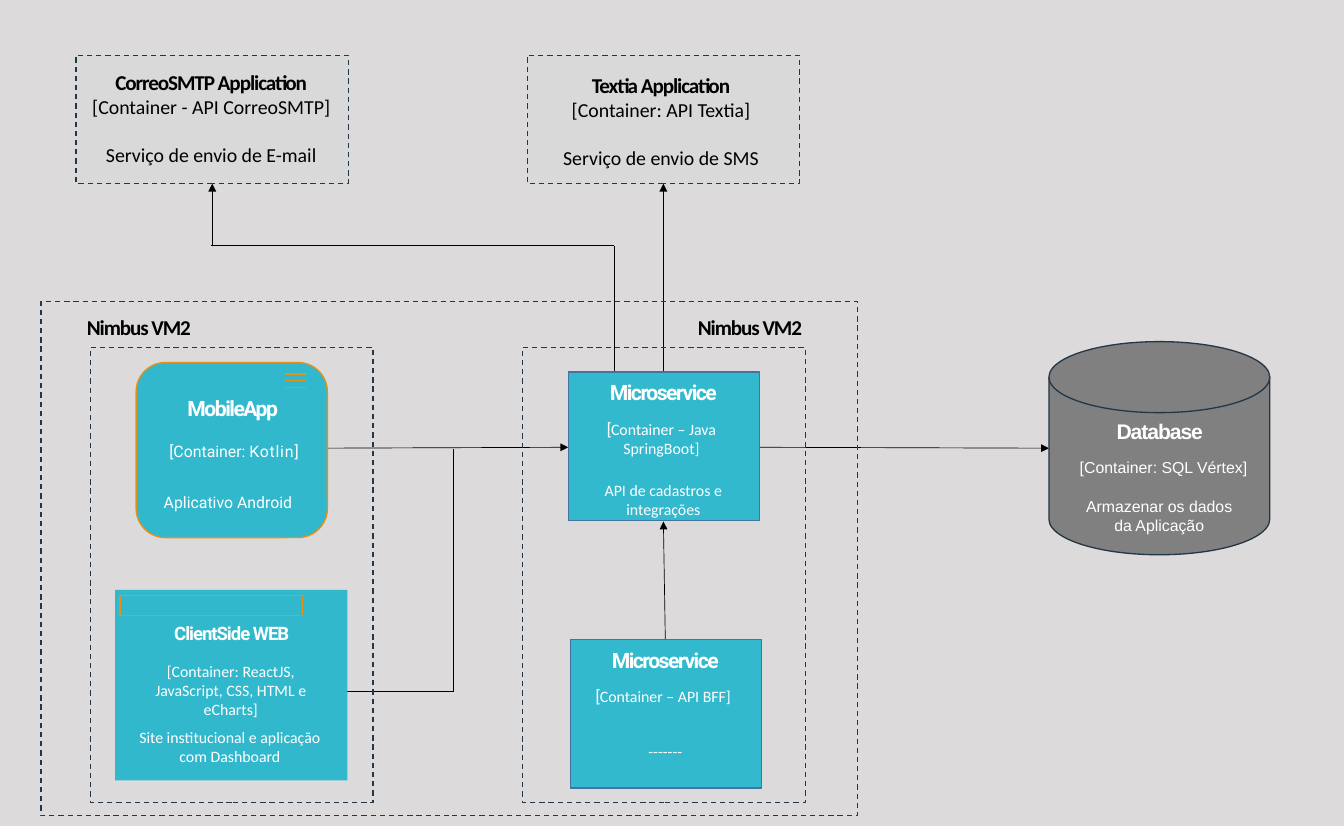
from dataclasses import dataclass
from typing import Optional

from lxml.etree import SubElement
from pptx import Presentation
from pptx.dml.color import RGBColor
from pptx.enum.dml import MSO_LINE
from pptx.enum.shapes import MSO_CONNECTOR, MSO_SHAPE
from pptx.enum.text import MSO_ANCHOR, PP_ALIGN
from pptx.oxml.ns import qn
from pptx.util import Inches, Pt

BACKGROUND = RGBColor(0xDC, 0xDA, 0xDA)
LIGHT_GRAY = RGBColor(0xD9, 0xD9, 0xD9)
GRAY = RGBColor(0x80, 0x80, 0x80)
NAVY = RGBColor(0x25, 0x37, 0x46)
TEAL = RGBColor(0x32, 0xB9, 0xCD)
CLIENT_TEAL = RGBColor(0x31, 0xB8, 0xCD)
BLUE = RGBColor(0x43, 0x73, 0x9E)
ORANGE = RGBColor(0xE4, 0x92, 0x17)
BLACK = RGBColor(0, 0, 0)
WHITE = RGBColor(0xFF, 0xFF, 0xFF)


@dataclass(frozen=True)
class Box:
    left: float
    top: float
    width: float
    height: float
    fill: Optional[RGBColor] = None
    line: Optional[RGBColor] = NAVY
    dashed: bool = False
    kind: MSO_SHAPE = MSO_SHAPE.RECTANGLE


@dataclass(frozen=True)
class Link:
    x1: float
    y1: float
    x2: float
    y2: float
    arrow: bool = False
    color: RGBColor = BLACK
    weight: float = 0.5


@dataclass(frozen=True)
class Run:
    text: str
    spacing: float = 0
    font: Optional[str] = None


@dataclass(frozen=True)
class Para:
    runs: tuple[Run, ...]
    size: float = 12
    font: str = "Calibri"
    color: RGBColor = WHITE
    bold: bool = False
    before: float = 0
    align: PP_ALIGN = PP_ALIGN.CENTER


@dataclass(frozen=True)
class Label:
    left: float
    top: float
    width: float
    height: float
    paras: tuple[Para, ...]
    padded: bool = False


def title(text: str, font: str, spacing: float = -0.8, size: float = 16,
          color: RGBColor = WHITE) -> Para:
    return Para((Run(text, spacing),), size, font, color, True)


def body(text: str, font: str = "Calibri", align: PP_ALIGN = PP_ALIGN.CENTER) -> Para:
    return Para((Run(text),), font=font, align=align)


def service_paras(name: str, container: str, purpose: str) -> tuple[Para, ...]:
    """External service text; the purpose sits one line below the container."""
    return (title(name, "Calibri", color=BLACK),
            Para((Run(container),), 15, color=BLACK),
            Para((Run(purpose),), 15, color=BLACK, before=18.3))


def microservice_labels(left: float, top: float, container: str, purpose: str,
                        purpose_top: float) -> list[Label]:
    bracketed = Para((Run("[", font="Roboto"), Run(container)))
    return [Label(left + 0.33, top + 0.07, 1.34, 0.23,
                  (title("Microservice", "Roboto", -1.1),)),
            Label(left + 0.1, top + 0.49, 1.76, 0.34, (bracketed,)),
            Label(left + 0.33, purpose_top, 1.34, 0.34, (body(purpose),))]


def add_box(shapes, box: Box) -> None:
    s = shapes.add_shape(box.kind, Inches(box.left), Inches(box.top),
                         Inches(box.width), Inches(box.height))
    s.shadow.inherit = False
    if box.fill is None:
        s.fill.background()
    else:
        s.fill.solid()
        s.fill.fore_color.rgb = box.fill
    if box.line is None:
        s.line.fill.background()
    else:
        s.line.color.rgb = box.line
        s.line.width = Pt(1)
    if box.dashed:
        s.line.dash_style = MSO_LINE.DASH


def add_link(shapes, link: Link) -> None:
    c = shapes.add_connector(MSO_CONNECTOR.STRAIGHT, Inches(link.x1), Inches(link.y1),
                             Inches(link.x2), Inches(link.y2))
    c.line.color.rgb = link.color
    c.line.width = Pt(link.weight)
    if link.arrow:
        SubElement(c.line._get_or_add_ln(), qn("a:tailEnd"), type="triangle")
    SubElement(c._element.spPr, qn("a:effectLst"))


def add_label(shapes, label: Label) -> None:
    tf = shapes.add_textbox(Inches(label.left), Inches(label.top),
                            Inches(label.width), Inches(label.height)).text_frame
    tf.word_wrap = True
    tf.vertical_anchor = MSO_ANCHOR.TOP
    if not label.padded:
        tf.margin_left = tf.margin_right = tf.margin_bottom = 0
        tf.margin_top = Inches(0.01)
    for i, para in enumerate(label.paras):
        p = tf.paragraphs[0] if i == 0 else tf.add_paragraph()
        p.alignment = para.align
        if para.before:
            p.space_before = Pt(para.before)
        p.font.size = Pt(para.size)
        p.font.bold = para.bold
        p.font.color.rgb = para.color
        if not any(run.font for run in para.runs):
            p.font.name = para.font
        for run in para.runs:
            r = p.add_run()
            r.text = run.text
            if any(other.font for other in para.runs):
                r.font.name = run.font or para.font
            if run.spacing:
                r._r.get_or_add_rPr().set("spc", str(round(run.spacing * 100)))


LINKS = [
    Link(6.97, 3.98, 6.97, 1.93, True),   # microservice to SMS
    Link(6.45, 3.91, 6.45, 2.58),         # microservice to e-mail
    Link(6.45, 2.58, 2.22, 2.58),
    Link(2.23, 2.59, 2.23, 1.93, True),
    Link(7.97, 4.7, 11.02, 4.71, True),   # microservice to database
    Link(3.29, 4.71, 5.97, 4.7, True),    # mobile app to microservice
    Link(3.49, 7.27, 4.76, 7.27),         # web client to microservice
    Link(4.76, 7.27, 4.76, 4.72),
    Link(6.99, 6.72, 6.97, 5.48, True),   # BFF to microservice
]
BOXES = [
    *(Box(x, 0.58, 2.86, 1.35, LIGHT_GRAY, dashed=True) for x in (0.8, 5.54)),
    Box(0.43, 3.17, 8.58, 5.4, dashed=True),
    *(Box(x, 3.65, 2.97, 4.78, dashed=True) for x in (0.95, 5.49)),
    *(Box(x, y, 2.01, 1.56, TEAL, BLUE) for x, y in ((5.97, 3.91), (5.99, 6.72))),
    Box(11.02, 3.59, 2.32, 2.24, GRAY, kind=MSO_SHAPE.FLOWCHART_MAGNETIC_DISK),
    Box(1.43, 3.81, 2.01, 1.84, CLIENT_TEAL, ORANGE, kind=MSO_SHAPE.ROUNDED_RECTANGLE),
    Box(1.21, 6.2, 2.44, 2, CLIENT_TEAL, None),
    Box(1.26, 6.26, 1.92, 0.21, line=ORANGE),
]
MENU_BARS = [Link(2.99, 3.93 + 0.07 * i, 3.22, 3.93 + 0.07 * i, False, ORANGE, 1)
             for i in range(3)]
KOTLIN = Para((Run("[C", -0.1), Run("ontaine"), Run("r: ", -0.1), Run("Kotlin", 0.6),
               Run("]", -0.1)), font="Roboto")
LABELS = [
    Label(0.79, 0.68, 2.86, 1.13, service_paras(
        "CorreoSMTP Application", "[Container - API CorreoSMTP]",
        "Serviço de envio de E-mail"), True),
    Label(5.5, 0.71, 2.89, 1.16, service_paras(
        "Textia Application", "[Container: API Textia]", "Serviço de envio de SMS"), True),
    *(Label(x, 3.25, 2.86, 0.37, (title("Nimbus VM2", "Calibri", color=BLACK),), True)
      for x in (0.03, 6.45)),
    *microservice_labels(5.97, 3.91, "Container – Java SpringBoot]",
                         "API de cadastros e integrações", 5.04),
    *microservice_labels(5.99, 6.72, "Container – API BFF]", "-------", 7.78),
    Label(11.02, 4.35, 2.33, 0.37, (title("Database", "Arial"),), True),
    Label(11.13, 4.8, 2.19, 0.22, (body("[Container: SQL Vértex]", "Arial"),)),
    Label(11.3, 5.21, 1.76, 0.42, (body("Armazenar os dados da Aplicação", "Arial"),)),
    Label(1.44, 4.15, 2.01, 0.28, (title("MobileApp", "Roboto", -1.1),)),
    Label(1.73, 4.63, 1.46, 0.22, (KOTLIN,)),
    Label(1.72, 5.17, 1.46, 0.22, (body("Aplicativo Android", "Roboto", PP_ALIGN.LEFT),)),
    Label(1.32, 6.49, 2.23, 0.34, (title("ClientSide WEB", "Roboto", size=14),), True),
    Label(1.38, 6.94, 2.09, 0.42,
          (body("[Container: ReactJS, JavaScript, CSS, HTML e eCharts]"),)),
    Label(1.37, 7.64, 2.09, 0.42, (body("Site institucional e aplicação com Dashboard"),)),
]


def main() -> None:
    prs = Presentation()
    prs.slide_width, prs.slide_height = Inches(14.12), Inches(8.68)
    slide = prs.slides.add_slide(prs.slide_layouts[6])
    slide.background.fill.solid()
    slide.background.fill.fore_color.rgb = BACKGROUND
    # Links go first so that the boxes cover their ends
    for link in LINKS:
        add_link(slide.shapes, link)
    for box in BOXES:
        add_box(slide.shapes, box)
    for bar in MENU_BARS:
        add_link(slide.shapes, bar)
    for label in LABELS:
        add_label(slide.shapes, label)
    prs.save("out.pptx")


if __name__ == "__main__":
    main()
